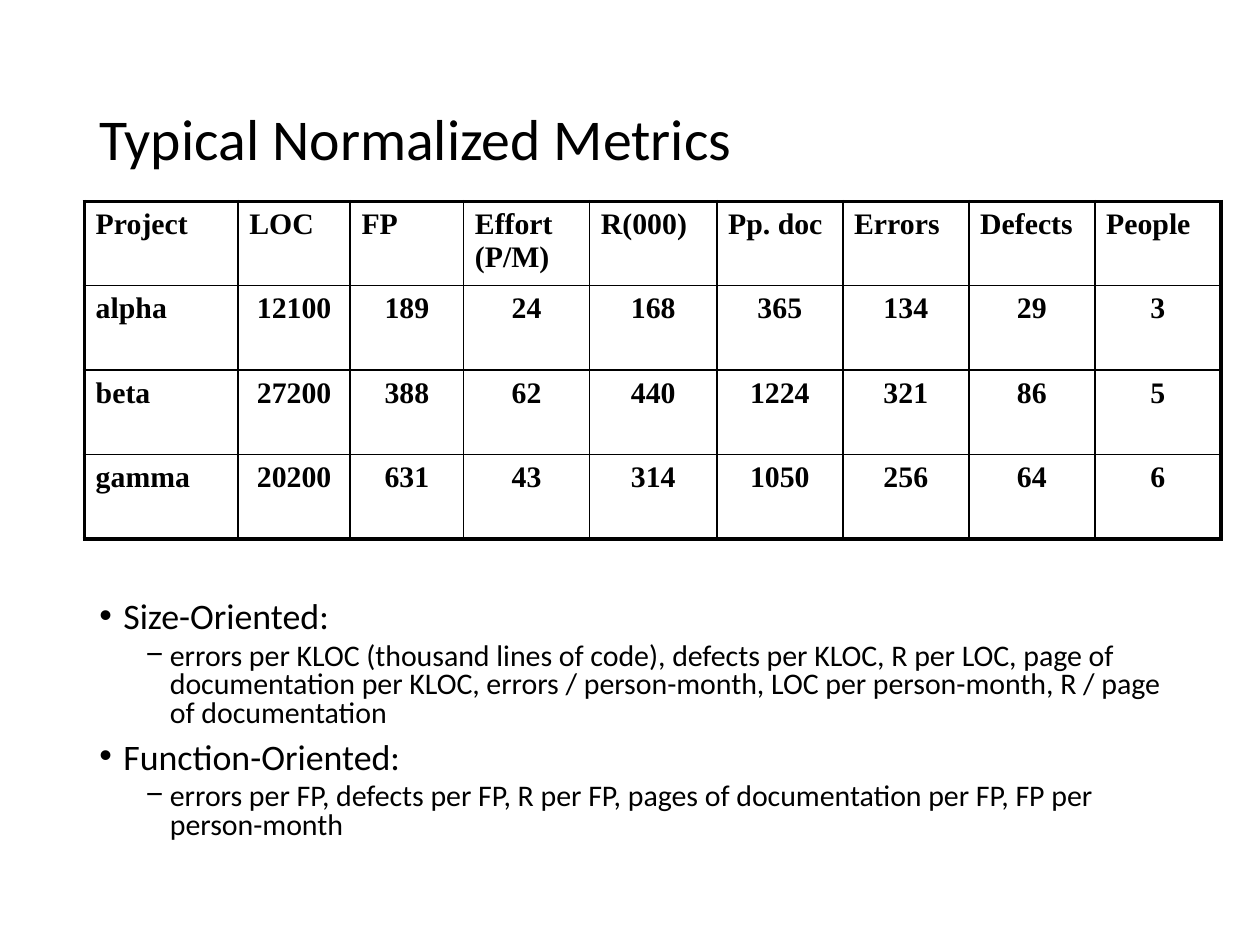
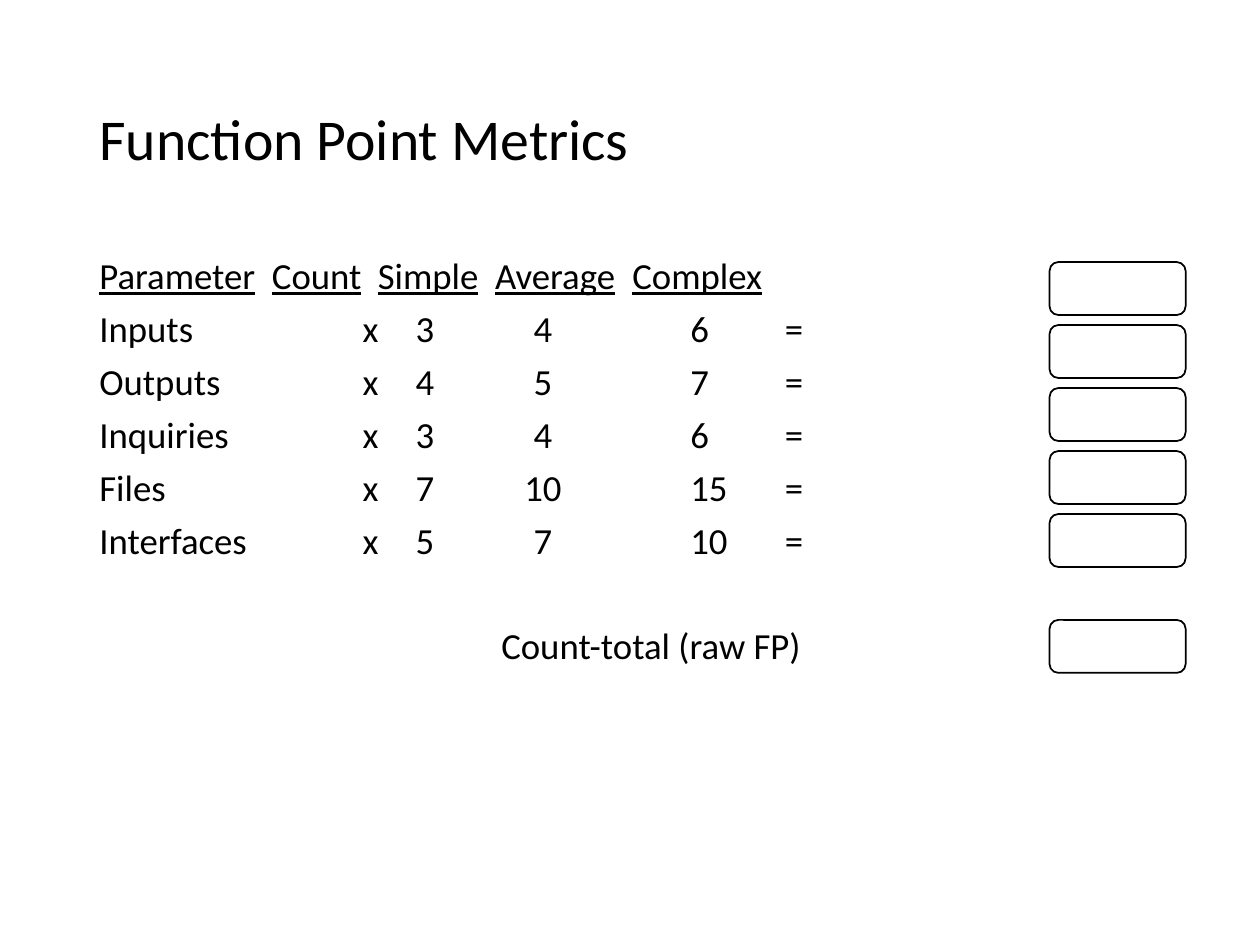
from lxml import etree
from pptx import Presentation
from pptx.dml.color import RGBColor
from pptx.enum.shapes import MSO_SHAPE as Shape
from pptx.enum.text import MSO_ANCHOR as Anchor, PP_ALIGN as Align
from pptx.oxml.ns import qn
from pptx.util import Inches, Pt

BLACK = RGBColor(0x00, 0x00, 0x00)
BODY_FONT = "Calibri"
TABLE_FONT = "Times New Roman"
LEFT, WIDTH = 0.69, 8.62

METRICS = [
    ["Project", "LOC", "FP", "Effort (P/M)", "R(000)", "Pp. doc", "Errors", "Defects", "People"],
    ["alpha", "12100", "189", "24", "168", "365", "134", "29", "3"],
    ["beta", "27200", "388", "62", "440", "1224", "321", "86", "5"],
    ["gamma", "20200", "631", "43", "314", "1050", "256", "64", "6"],
]
COLUMN_WIDTHS = [1.22, 0.89, 0.9, 1, 1.01, 1, 1, 1, 1]
ROW_HEIGHTS = [0.65, 0.67, 0.67, 0.67]

# Level and text of each bullet
BULLETS = [
    (0, "Size-Oriented:"),
    (1, "errors per KLOC (thousand lines of code), defects per KLOC, R per LOC, "
        "page of documentation per KLOC, errors / person-month, LOC per person-month, "
        "R / page of documentation"),
    (0, "Function-Oriented:"),
    (1, "errors per FP, defects per FP, R per FP, pages of documentation per FP, "
        "FP per person-month"),
]
# Character, left margin, space before and text size of each level
LEVELS = [("\u2022", 0.19, 7.5, 20.5), ("\u2212", 0.56, 3.8, 17.1)]
HANGING = 0.19

HEADINGS = ["Parameter", "Count", "Simple", "Average", "Complex"]
WEIGHTS = [
    ("Inputs", 3, 4, 6),
    ("Outputs", 4, 5, 7),
    ("Inquiries", 3, 4, 6),
    ("Files", 7, 10, 15),
    ("Interfaces", 5, 7, 10),
]
HEADING_TABS = [(1.37, "l"), (2.21, "l"), (3.14, "l"), (4.23, "l")]
WEIGHT_TABS = [(2.09, "l"), (2.51, "l"), (3.52, "ctr"), (4.69, "l"), (5.44, "l")]
TOTAL_TABS = [(3.19, "l")]


def style_font(font, size, name=BODY_FONT, bold=False):
    font.name, font.size, font.bold = name, Pt(size), bold
    font.color.rgb = BLACK


def add_box(page, top, height, anchor=Anchor.TOP):
    box = page.shapes.add_textbox(Inches(LEFT), Inches(top), Inches(WIDTH), Inches(height))
    frame = box.text_frame
    frame.word_wrap = True
    frame.vertical_anchor = anchor
    return frame


def next_para(frame, first):
    return frame.paragraphs[0] if first else frame.add_paragraph()


def add_title(page, text):
    para = add_box(page, 0.4, 1.45, Anchor.MIDDLE).paragraphs[0]
    para.text = text
    para.line_spacing = 0.9
    style_font(para.font, 33)


def add_bullets(page, bullets):
    frame = add_box(page, 2, 4.76)
    frame.margin_top = Inches(2.78)  # keeps the list below the table
    for index, (level, text) in enumerate(bullets):
        mark, margin, before, size = LEVELS[level]
        para = next_para(frame, index == 0)
        para.text = text
        para.level = level
        para.line_spacing = 0.8
        para.space_before = Pt(before if index else 0)
        properties = para._p.get_or_add_pPr()
        properties.set("marL", str(Inches(margin)))
        properties.set("indent", str(-Inches(HANGING)))
        etree.SubElement(properties, qn("a:buFont"), typeface="Arial")
        etree.SubElement(properties, qn("a:buChar"), char=mark)
        style_font(para.font, size)


def set_borders(cell, widths):
    properties = cell._tc.get_or_add_tcPr()
    for side, width in zip("LRTB", widths):
        line = etree.SubElement(properties, qn("a:ln" + side), w=str(Pt(width)))
        fill = etree.SubElement(line, qn("a:solidFill"))
        etree.SubElement(fill, qn("a:srgbClr"), val=str(BLACK))


def add_metrics_table(page, rows):
    last_row, last_column = len(rows) - 1, len(rows[0]) - 1
    table = page.shapes.add_table(
        len(rows), len(rows[0]), Inches(0.67), Inches(1.6),
        Inches(sum(COLUMN_WIDTHS)), Inches(sum(ROW_HEIGHTS))).table
    for column, width in zip(table.columns, COLUMN_WIDTHS):
        column.width = Inches(width)
    for row, height in zip(table.rows, ROW_HEIGHTS):
        row.height = Inches(height)
    for r, values in enumerate(rows):
        for c, value in enumerate(values):
            cell = table.cell(r, c)
            cell.margin_left = cell.margin_right = Inches(0.09)
            cell.margin_top = cell.margin_bottom = Inches(0.05)
            para = cell.text_frame.paragraphs[0]
            para.text = value
            para.alignment = Align.CENTER if r and c else Align.LEFT
            style_font(para.runs[0].font, 17, TABLE_FONT, bold=True)
            # Thick frame outside, thin rules inside
            outer = (c == 0, c == last_column, r == 0, r == last_row)
            set_borders(cell, [2.25 if edge else 1 for edge in outer])
            cell.fill.background()


def add_tabbed_line(frame, first, values, tabs, before=7.5, underline=False):
    para = next_para(frame, first)
    para.line_spacing = 0.9
    para.space_before = Pt(0 if first else before)
    properties = para._p.get_or_add_pPr()
    stops = etree.SubElement(properties, qn("a:tabLst"))
    for position, align in tabs:
        etree.SubElement(stops, qn("a:tab"), pos=str(Inches(position)), algn=align)
    style_font(para.font, 21)
    for index, value in enumerate(values):
        if index:
            para.add_run().text = "\t"
        if value != "":
            span = para.add_run()
            span.text = str(value)
            span.font.underline = underline


def add_weights(page):
    frame = add_box(page, 2, 4.76)
    add_tabbed_line(frame, True, HEADINGS, HEADING_TABS, underline=True)
    for name, *weights in WEIGHTS:
        add_tabbed_line(frame, False, [name, "x", *weights, "="], WEIGHT_TABS)
    add_tabbed_line(frame, False, ["", "Count-total (raw FP)"], TOTAL_TABS, before=37.7)


def add_result_box(page, top):
    box = page.shapes.add_shape(
        Shape.ROUNDED_RECTANGLE, Inches(8.33), Inches(top), Inches(1.08), Inches(0.42))
    box.shadow.inherit = False
    box.fill.background()
    box.line.color.rgb = BLACK
    box.line.width = Pt(1)


def add_page(deck, title):
    page = deck.slides.add_slide(deck.slide_layouts[6])
    add_title(page, title)
    return page


def main():
    deck = Presentation()
    deck.slide_width, deck.slide_height = Inches(10), Inches(7.5)

    # Project table and the metrics derived from it
    page = add_page(deck, "Typical Normalized Metrics")
    add_bullets(page, BULLETS)
    add_metrics_table(page, METRICS)

    # Weights with one result box per parameter, then the total
    page = add_page(deck, "Function Point Metrics")
    add_weights(page)
    for index in range(len(WEIGHTS)):
        add_result_box(page, 2.08 + 0.5 * index)
    add_result_box(page, 4.92)

    deck.save("out.pptx")


main()
